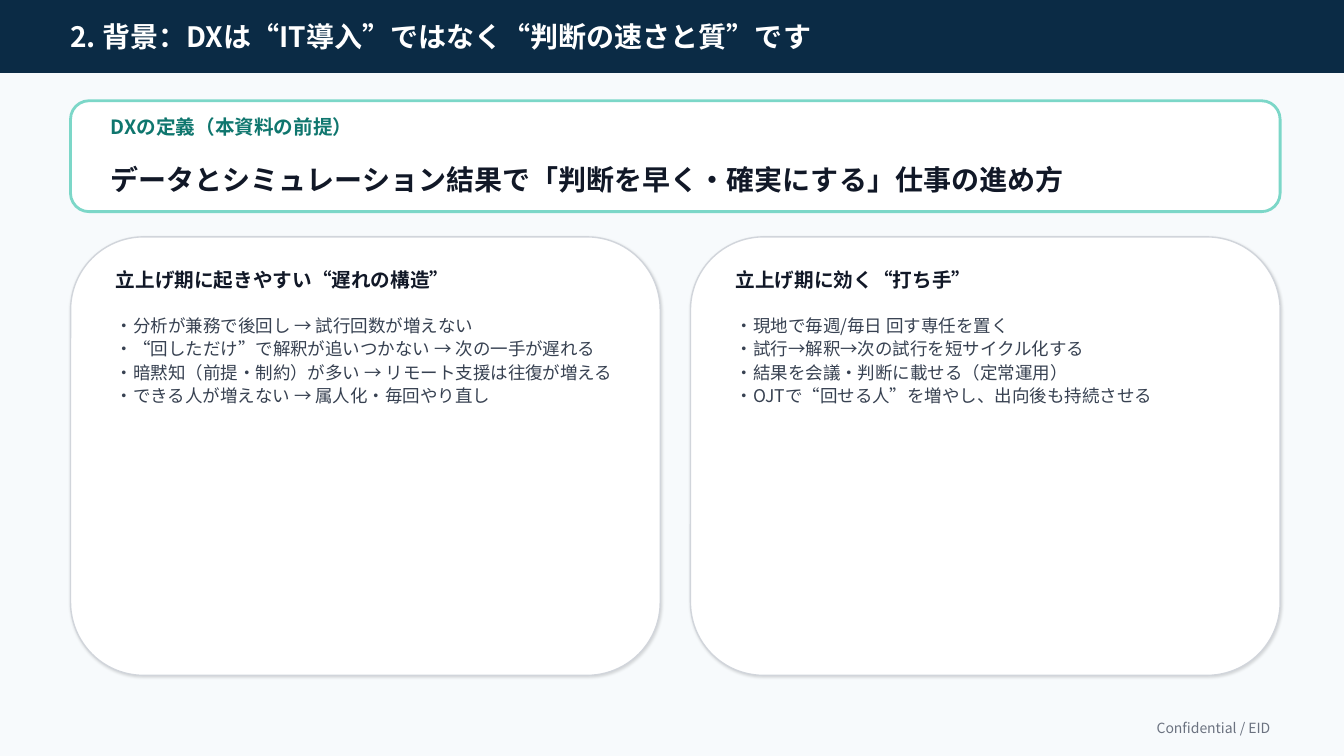
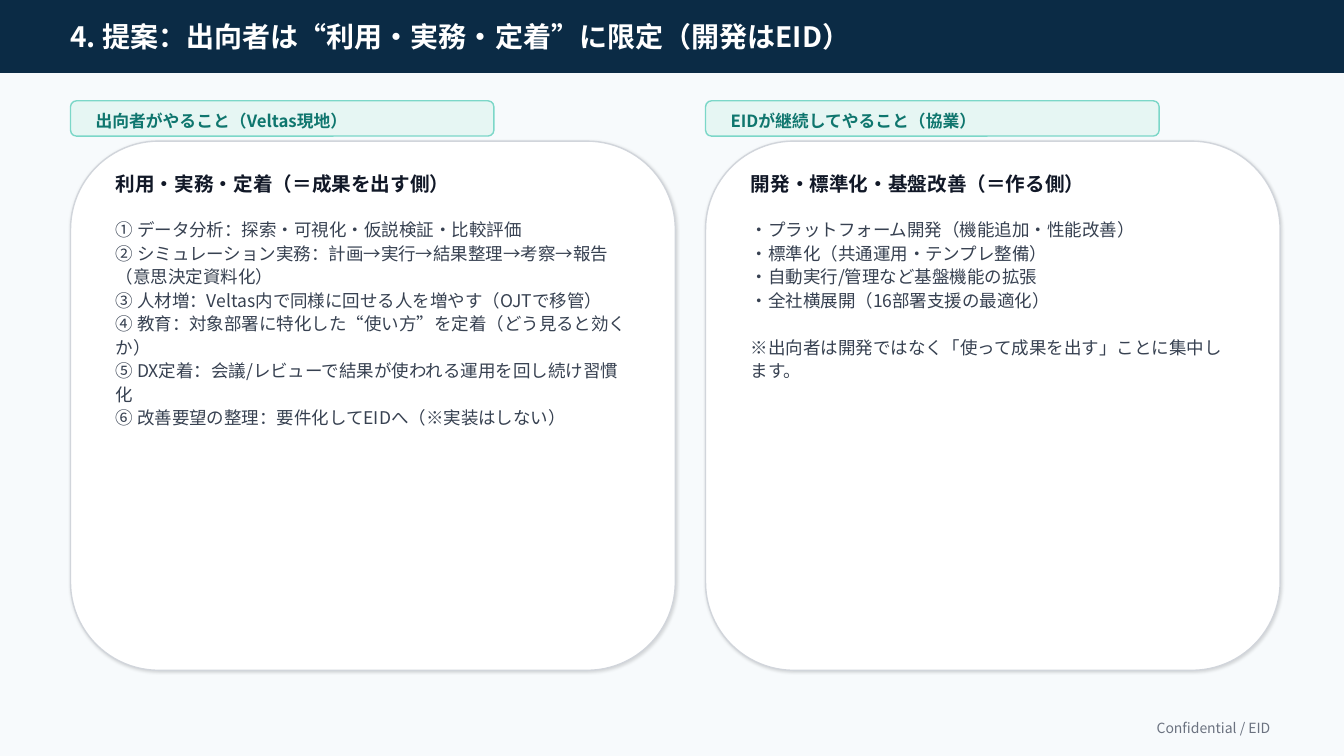
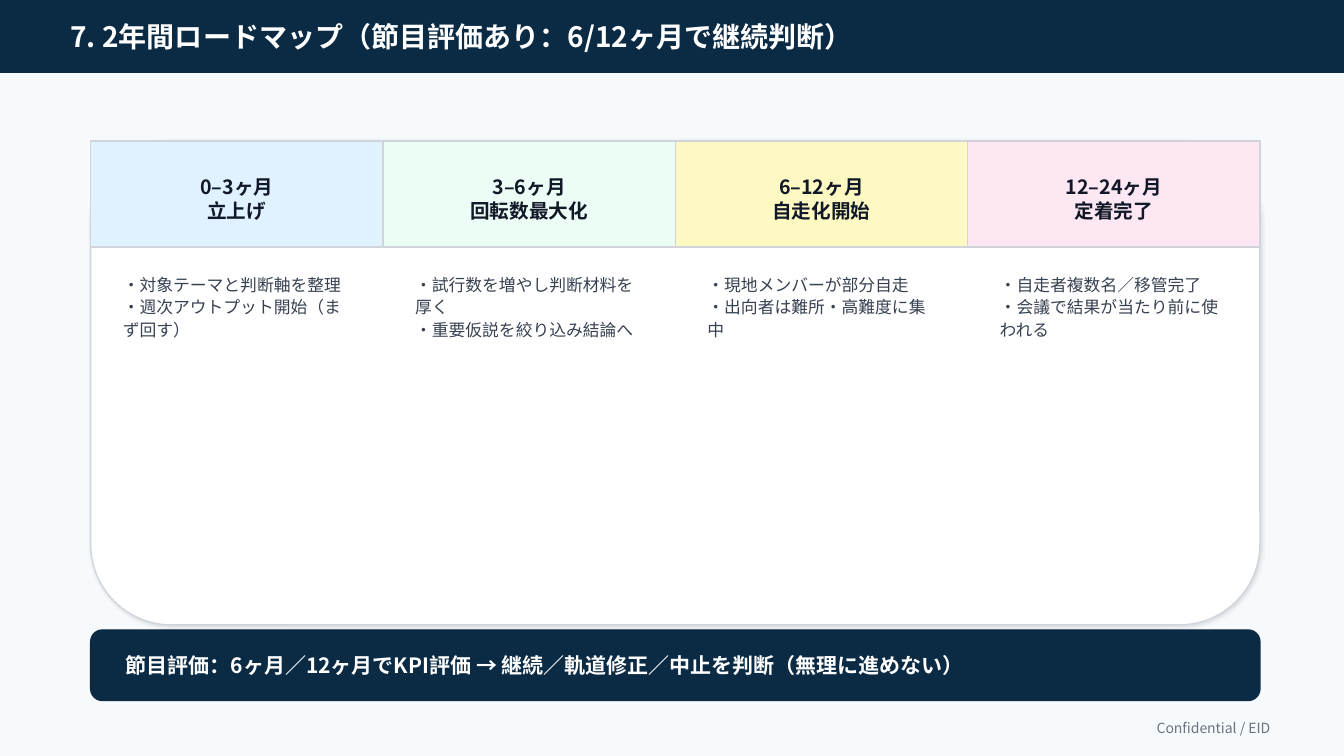
from lxml import etree
from pptx import Presentation
from pptx.dml.color import RGBColor
from pptx.enum.shapes import MSO_SHAPE
from pptx.enum.text import MSO_ANCHOR, PP_ALIGN
from pptx.oxml.ns import qn
from pptx.util import Pt

RECT, ROUND = MSO_SHAPE.RECTANGLE, MSO_SHAPE.ROUNDED_RECTANGLE
TOP, MIDDLE = MSO_ANCHOR.TOP, MSO_ANCHOR.MIDDLE
LEFT, CENTER, RIGHT = PP_ALIGN.LEFT, PP_ALIGN.CENTER, PP_ALIGN.RIGHT

FONT = "Noto Sans CJK JP"
PAPER = RGBColor(0xF7, 0xFA, 0xFC)
WHITE = RGBColor(0xFF, 0xFF, 0xFF)
NAVY = RGBColor(0x0B, 0x2B, 0x45)
INK = RGBColor(0x11, 0x18, 0x27)
SLATE = RGBColor(0x37, 0x41, 0x51)
GRAY = RGBColor(0x6B, 0x72, 0x80)
BORDER = RGBColor(0xD1, 0xD5, 0xDB)
TEAL = RGBColor(0x0F, 0x76, 0x6E)
MINT = RGBColor(0x7C, 0xD7, 0xC8)
PALE_MINT = RGBColor(0xE6, 0xF6, 0xF3)
SKY = RGBColor(0xE0, 0xF2, 0xFE)
GREEN = RGBColor(0xEC, 0xFD, 0xF5)
YELLOW = RGBColor(0xFE, 0xF9, 0xC3)
PINK = RGBColor(0xFC, 0xE7, 0xF3)

WIDTH, HEIGHT = 960, 540
MARGIN = 50.4
CARD_INSET = 25.2
LINE_SPACING = 1.12
NOTE_GAP = 17

TITLE = {"size": Pt(20), "bold": True, "color": WHITE}
STATEMENT = {"size": Pt(20), "bold": True, "color": INK}
HEADING = {"size": Pt(14), "bold": True, "color": INK}
LABEL = {"size": Pt(14), "bold": True, "color": TEAL}
BADGE = {"size": Pt(12), "bold": True, "color": TEAL}
BODY = {"size": Pt(12.5), "color": SLATE}
STAGE_BODY = {"size": Pt(12), "color": SLATE}
VERDICT = {"size": Pt(15), "bold": True, "color": WHITE}
FOOTER = {"size": Pt(10), "color": GRAY}

FOOTER_TEXT = "Confidential / EID"

BACKGROUND = {
    "title": "2. 背景：DXは“IT導入”ではなく“判断の速さと質”です",
    "label": "DXの定義（本資料の前提）",
    "statement": "データとシミュレーション結果で「判断を早く・確実にする」仕事の進め方",
    "cards": [
        ("立上げ期に起きやすい“遅れの構造”", [
            "・分析が兼務で後回し → 試行回数が増えない",
            "・“回しただけ”で解釈が追いつかない → 次の一手が遅れる",
            "・暗黙知（前提・制約）が多い → リモート支援は往復が増える",
            "・できる人が増えない → 属人化・毎回やり直し",
        ]),
        ("立上げ期に効く“打ち手”", [
            "・現地で毎週/毎日 回す専任を置く",
            "・試行→解釈→次の試行を短サイクル化する",
            "・結果を会議・判断に載せる（定常運用）",
            "・OJTで“回せる人”を増やし、出向後も持続させる",
        ]),
    ],
}

PROPOSAL = {
    "title": "4. 提案：出向者は“利用・実務・定着”に限定（開発はEID）",
    "roles": [
        {
            "left": MARGIN, "width": 432, "badge_width": 302.4,
            "badge": "出向者がやること（Veltas現地）",
            "heading": "利用・実務・定着（＝成果を出す側）",
            "lines": [
                "① データ分析：探索・可視化・仮説検証・比較評価",
                "② シミュレーション実務：計画→実行→結果整理→考察→報告（意思決定資料化）",
                "③ 人材増：Veltas内で同様に回せる人を増やす（OJTで移管）",
                "④ 教育：対象部署に特化した“使い方”を定着（どう見ると効くか）",
                "⑤ DX定着：会議/レビューで結果が使われる運用を回し続け習慣化",
                "⑥ 改善要望の整理：要件化してEIDへ（※実装はしない）",
            ],
        },
        {
            "left": 504, "width": 410.4, "badge_width": 324,
            "badge": "EIDが継続してやること（協業）",
            "heading": "開発・標準化・基盤改善（＝作る側）",
            "lines": [
                "・プラットフォーム開発（機能追加・性能改善）",
                "・標準化（共通運用・テンプレ整備）",
                "・自動実行/管理など基盤機能の拡張",
                "・全社横展開（16部署支援の最適化）",
            ],
            "note": "※出向者は開発ではなく「使って成果を出す」ことに集中します。",
        },
    ],
}

ROADMAP = {
    "title": "7. 2年間ロードマップ（節目評価あり：6/12ヶ月で継続判断）",
    "stages": [
        (SKY, ["0–3ヶ月", "立上げ"],
         ["・対象テーマと判断軸を整理", "・週次アウトプット開始（まず回す）"]),
        (GREEN, ["3–6ヶ月", "回転数最大化"],
         ["・試行数を増やし判断材料を厚く", "・重要仮説を絞り込み結論へ"]),
        (YELLOW, ["6–12ヶ月", "自走化開始"],
         ["・現地メンバーが部分自走", "・出向者は難所・高難度に集中"]),
        (PINK, ["12–24ヶ月", "定着完了"],
         ["・自走者複数名／移管完了", "・会議で結果が当たり前に使われる"]),
    ],
    "verdict": "節目評価：6ヶ月／12ヶ月でKPI評価 → 継続／軌道修正／中止を判断（無理に進めない）",
}


def points(*lengths):
    return [Pt(round(length, 2)) for length in lengths]


def add_panel(page, kind, place, fill, line, line_width=1):
    panel = page.shapes.add_shape(kind, *points(*place))
    panel.shadow.inherit = False
    panel.fill.solid()
    panel.fill.fore_color.rgb = fill
    panel.line.color.rgb = line
    panel.line.width = Pt(line_width)
    return panel


def add_soft_shadow(panel, opacity):
    """Fill the panel's empty effect list with a faint shadow; opacity in percent."""
    effects = panel._element.spPr.find(qn("a:effectLst"))
    shadow = etree.SubElement(effects, qn("a:outerShdw"), blurRad=str(Pt(2)),
                              dist=str(Pt(1)), dir="2700000", algn="tl", rotWithShape="0")
    color = etree.SubElement(shadow, qn("a:srgbClr"), val="000000")
    etree.SubElement(color, qn("a:alpha"), val=str(opacity * 1000))


def apply_font(span, style):
    span.font.name = FONT
    east_asian = etree.SubElement(span.font._element, qn("a:ea"))
    east_asian.set("typeface", FONT)
    for name, value in style.items():
        if name == "color":
            span.font.color.rgb = value
        else:
            setattr(span.font, name, value)


def add_text(page, place, lines, style, anchor=MIDDLE, align=LEFT, spacing=None):
    box = page.shapes.add_textbox(*points(*place))
    frame = box.text_frame
    frame.word_wrap = True
    frame.vertical_anchor = anchor
    for index, line in enumerate(lines):
        para = frame.add_paragraph() if index else frame.paragraphs[0]
        para.alignment = align
        if spacing:
            para.line_spacing = spacing
        span = para.add_run()
        span.text = line
        apply_font(span, style)
    return frame


def add_body(page, place, lines, style=BODY):
    return add_text(page, place, lines, style, TOP, spacing=LINE_SPACING)


def add_card(page, left, top, width, height, heading, lines, note=None):
    add_soft_shadow(add_panel(page, ROUND, (left, top, width, height), WHITE, BORDER), 14)
    text_left, text_width = left + CARD_INSET, width - 2 * CARD_INSET
    add_text(page, (text_left, top + 18, text_width, 25.2), [heading], HEADING)
    body = add_body(page, (text_left, top + 50.4, text_width, height - 64.8),
                    lines + ([note] if note else []))
    if note:
        body.paragraphs[-1].space_before = Pt(NOTE_GAP)


def add_page(deck, title):
    page = deck.slides.add_slide(deck.slide_layouts[6])
    page.background.fill.solid()
    page.background.fill.fore_color.rgb = PAPER
    add_panel(page, RECT, (0, 0, WIDTH, 51.84), NAVY, NAVY)
    add_text(page, (43.2, 11.52, 878.4, 28.8), [title], TITLE)
    add_text(page, (43.2, 511.2, 871.2, 18), [FOOTER_TEXT], FOOTER, align=RIGHT)
    return page


def build_background(deck):
    page = add_page(deck, BACKGROUND["title"])
    add_panel(page, ROUND, (MARGIN, 72, 864, 79.2), WHITE, MINT, 2)
    add_text(page, (72, 77.76, 396, 25.2), [BACKGROUND["label"]], LABEL)
    add_text(page, (72, 108, 820.8, 39.6), [BACKGROUND["statement"]], STATEMENT)
    width, gap = 421.2, 21.6
    for index, (heading, lines) in enumerate(BACKGROUND["cards"]):
        add_card(page, MARGIN + index * (width + gap), 169.2, width, 313.2, heading, lines)


def build_proposal(deck):
    page = add_page(deck, PROPOSAL["title"])
    for role in PROPOSAL["roles"]:
        left, badge_width = role["left"], role["badge_width"]
        add_panel(page, ROUND, (left, 72, badge_width, 25.2), PALE_MINT, MINT)
        add_text(page, (left + 10.8, 77.04, badge_width - 21.6, 18), [role["badge"]], BADGE)
        add_card(page, left, 100.8, role["width"], 378, role["heading"], role["lines"],
                 role.get("note"))


def build_roadmap(deck):
    page = add_page(deck, ROADMAP["title"])
    left, top, width = 64.8, 100.8, 835.2
    add_soft_shadow(add_panel(page, ROUND, (left, top, width, 345.6), WHITE, BORDER), 12)
    stage_width = width / len(ROADMAP["stages"])
    for index, (fill, heading, lines) in enumerate(ROADMAP["stages"]):
        stage_left = left + index * stage_width
        add_panel(page, RECT, (stage_left, top, stage_width, 75.6), fill, BORDER)
        add_text(page, (stage_left + 7.2, top + 8.64, stage_width - 14.4, 64.8),
                 heading, HEADING, align=CENTER)
        add_body(page, (stage_left + 15.84, top + 90, stage_width - 31.68, 237.6),
                 lines, STAGE_BODY)
    add_panel(page, ROUND, (left, 450, width, 50.4), NAVY, NAVY)
    add_text(page, (left + 18, 457.2, width - 36, 36), [ROADMAP["verdict"]], VERDICT)


def main():
    deck = Presentation()
    deck.slide_width, deck.slide_height = points(WIDTH, HEIGHT)
    build_background(deck)
    build_proposal(deck)
    build_roadmap(deck)
    deck.save("out.pptx")


if __name__ == "__main__":
    main()
